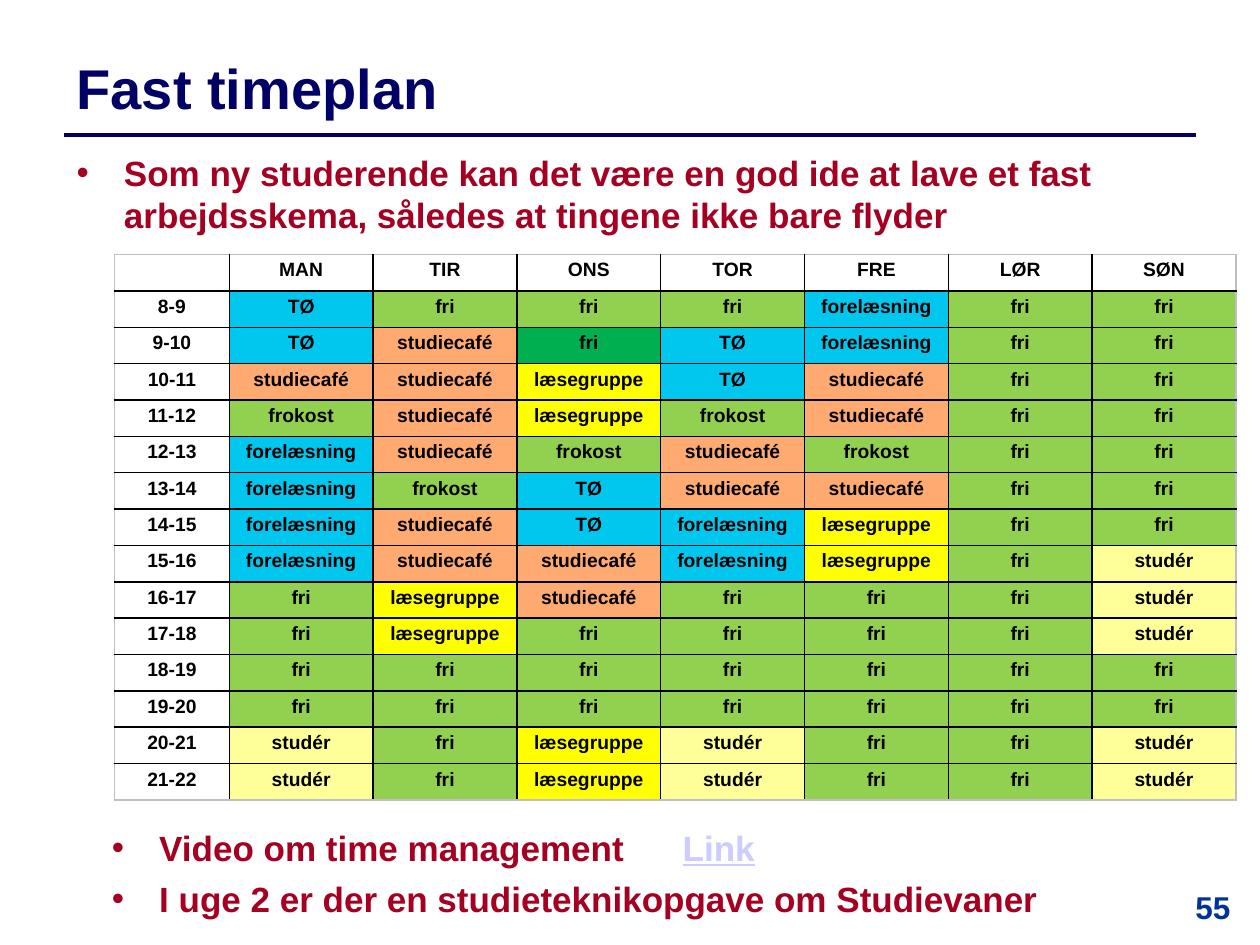
from lxml.etree import SubElement
from pptx import Presentation
from pptx.dml.color import RGBColor
from pptx.enum.shapes import MSO_CONNECTOR
from pptx.enum.text import MSO_ANCHOR, PP_ALIGN
from pptx.oxml.ns import qn
from pptx.util import Inches, Pt

WIDTH, HEIGHT = Inches(10), Inches(7.5)
COLUMN, ROW = WIDTH / 100, HEIGHT / 75
NAVY, RED, BLACK, GREY = "000066", "A50021", "000000", "BFBFBF"
TITLE = {"size": Pt(32), "color": NAVY}
BODY = {"size": Pt(20), "color": RED}
LINK = {"size": Pt(20), "color": "CCCCFF", "underline": True}
NUMBER = {"size": Pt(18), "color": "003399"}
CELL = {"size": Pt(11), "color": BLACK}

DAYS = ["MAN", "TIR", "ONS", "TOR", "FRE", "LØR", "SØN"]
FIRST_HOUR = 8
ACTIVITIES = {
    "T": ("TØ", "01C7EF"),
    "F": ("forelæsning", "01C7EF"),
    "C": ("studiecafé", "FFAA71"),
    "L": ("læsegruppe", "FFFF00"),
    "S": ("studér", "FFFF99"),
    "K": ("frokost", "92D050"),
    "-": ("fri", "92D050"),
    "+": ("fri", "00B050"),
}
WEEK = """
T---F--
TC+TF--
CCLTC--
KCLKC--
FCKCK--
FKTCC--
FCTFL--
FCCFL-S
-LC---S
-L----S
-------
-------
S-LS--S
S-LS--S
""".split()


def color(value):
    return RGBColor.from_string(value)


def place(left, top, width, height):
    return [round(length) for length in
            (left * COLUMN, top * ROW, width * COLUMN, height * ROW)]


def set_all(target, values):
    for name, value in values.items():
        setattr(target, name, value)


def add_span(para, text, style):
    span = para.add_run()
    span.text = text
    values = {**style, "name": "Arial", "bold": True}
    span.font.color.rgb = color(values.pop("color"))
    set_all(span.font, values)


def add_box(page, area, anchor=MSO_ANCHOR.TOP):
    frame = page.shapes.add_textbox(*place(*area)).text_frame
    set_all(frame, {"word_wrap": True, "vertical_anchor": anchor})
    return frame


def add_bullets(page, area, items, tab=None):
    frame = add_box(page, area)
    for index, spans in enumerate(items):
        para = frame.add_paragraph() if index else frame.paragraphs[0]
        if index:
            para.space_before = Pt(5)
        indent = round(3.75 * COLUMN)
        properties = para._p.get_or_add_pPr()
        properties.set("marL", str(indent))
        properties.set("indent", str(-indent))
        SubElement(properties, qn("a:buFont"), typeface="Arial")
        SubElement(properties, qn("a:buChar"), char="•")
        if tab and len(spans) > 1:
            stops = SubElement(properties, qn("a:tabLst"))
            SubElement(stops, qn("a:tab"), pos=str(round(tab * COLUMN)), algn="l")
        for text, style in spans:
            add_span(para, text, style)


def add_rule(page, left, right, top):
    start_x, start_y, width, _ = place(left, top, right - left, 0)
    rule = page.shapes.add_connector(
        MSO_CONNECTOR.STRAIGHT, start_x, start_y, start_x + width, start_y)
    rule.line.color.rgb = color(NAVY)
    rule.line.width = Pt(2)
    SubElement(rule._element.spPr, qn("a:effectLst"))


def add_borders(cell, outer_sides):
    properties = cell._tc.get_or_add_tcPr()
    for position, side in enumerate("LRTB"):
        border = properties.makeelement(qn(f"a:ln{side}"), {"w": str(Pt(1))})
        properties.insert(position, border)
        fill = SubElement(border, qn("a:solidFill"))
        SubElement(fill, qn("a:srgbClr"), val=GREY if side in outer_sides else BLACK)


def fill_cell(cell, text, fill):
    set_all(cell, {"margin_left": Inches(0.1), "margin_right": Inches(0.1),
                   "margin_top": Inches(0.04), "margin_bottom": Inches(0.04)})
    para = cell.text_frame.paragraphs[0]
    para.alignment = PP_ALIGN.CENTER
    if text:
        add_span(para, text, CELL)
    else:
        SubElement(para._p, qn("a:endParaRPr"), sz="1100")
    if fill:
        cell.fill.solid()
        cell.fill.fore_color.rgb = color(fill)
    else:
        cell.fill.background()


def add_timetable(page, area):
    rows = [[("", None)] + [(day, None) for day in DAYS]]
    for hour, codes in enumerate(WEEK, FIRST_HOUR):
        rows.append([(f"{hour}-{hour + 1}", None)] + [ACTIVITIES[code] for code in codes])
    last_row, last_column = len(rows) - 1, len(DAYS)
    left, top, width, height = place(*area)
    table = page.shapes.add_table(
        len(rows), last_column + 1, left, top, width, height).table
    set_all(table, {"first_row": False, "horz_banding": False})
    hour_width = round(9.1 * COLUMN)
    for index, column in enumerate(table.columns):
        column.width = (width - hour_width) // len(DAYS) if index else hour_width
    for y, row in enumerate(rows):
        for x, (text, fill) in enumerate(row):
            cell = table.cell(y, x)
            fill_cell(cell, text, fill)
            edges = {"L": x == 0, "R": x == last_column, "T": y == 0, "B": y == last_row}
            add_borders(cell, [side for side, outer in edges.items() if outer])


def main():
    deck = Presentation()
    set_all(deck, {"slide_width": WIDTH, "slide_height": HEIGHT})
    page = deck.slides.add_slide(deck.slide_layouts[6])
    add_rule(page, 5.1, 94.9, 10.7)
    title = add_box(page, (5.1, 3.6, 89.8, 6.7), MSO_ANCHOR.MIDDLE)
    add_span(title.paragraphs[0], "Fast timeplan", TITLE)
    add_bullets(page, (5.1, 11.5, 92.1, 8.7), [
        [("Som ny studerende kan det være en god ide at lave et fast "
          "arbejdsskema, således at tingene ikke bare flyder", BODY)]])
    number = add_box(page, (92.5, 70, 7.5, 5)).paragraphs[0]
    number.alignment = PP_ALIGN.CENTER
    add_span(number, "55", NUMBER)
    add_timetable(page, (9.1, 20.2, 89, 43.3))
    add_bullets(page, (7.9, 65.1, 82.2, 8.7), [
        [("Video om time management\t", BODY), ("Link", LINK)],
        [("I uge 2 er der en studieteknikopgave om Studievaner", BODY)]], tab=45.3)
    deck.save("out.pptx")


if __name__ == "__main__":
    main()
